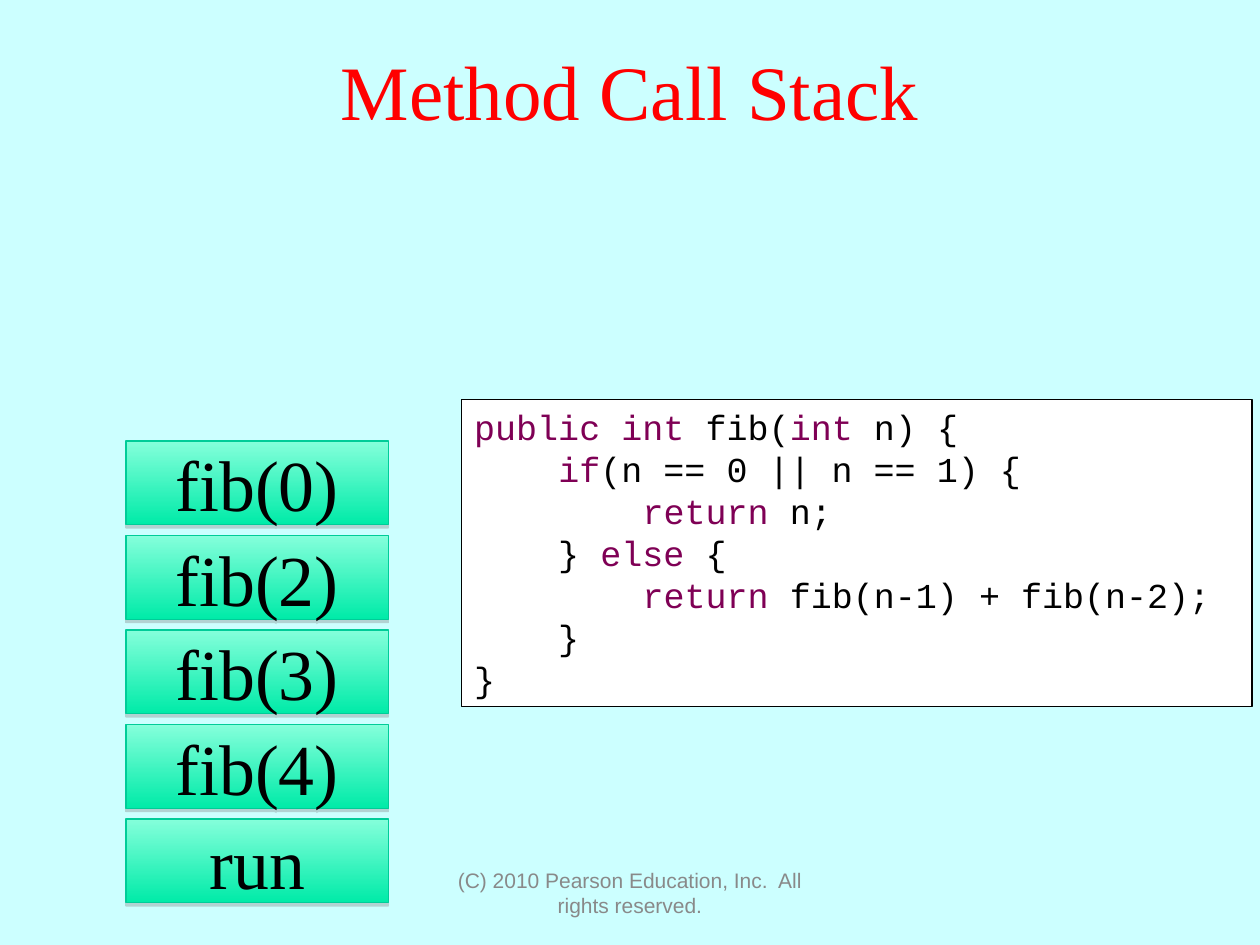
import pptx
import pptx.dml.color
import pptx.enum.shapes
import pptx.enum.text
import pptx.oxml
import pptx.oxml.ns
import pptx.util

Cm = pptx.util.Cm
Pt = pptx.util.Pt
RGBColor = pptx.dml.color.RGBColor
PP_ALIGN = pptx.enum.text.PP_ALIGN
MSO_ANCHOR = pptx.enum.text.MSO_ANCHOR

BACKGROUND = RGBColor(0xCC, 0xFF, 0xFF)
RED = RGBColor(0xFF, 0x00, 0x00)
GREY = RGBColor(0x89, 0x89, 0x89)
BLACK = RGBColor(0x00, 0x00, 0x00)
WHITE = RGBColor(0xFF, 0xFF, 0xFF)
KEYWORD = RGBColor(0x7F, 0x00, 0x55)
FRAME_TOP = RGBColor(0x85, 0xFF, 0xDB)
FRAME_BOTTOM = RGBColor(0x00, 0xEB, 0xA8)
FRAME_LINE = RGBColor(0x00, 0xCC, 0x98)

TITLE = "Method Call Stack"
FOOTER = "(C) 2010 Pearson Education, Inc.  All rights reserved."
CALLS = ["run", "fib(4)", "fib(3)", "fib(2)", "fib(0)"]  # bottom to top
# Keywords stand between backticks.
CODE = [
    "`public int` fib(`int` n) {",
    "    `if`(n == 0 || n == 1) {",
    "        `return` n;",
    "    } `else` {",
    "        `return` fib(n-1) + fib(n-2);",
    "    }",
    "}",
]

TITLE_FONT = {"name": "Times New Roman", "size": Pt(44)}
CALL_FONT = {"name": "Times New Roman", "size": Pt(41)}
CODE_FONT = {"name": "Courier New", "size": Pt(20)}
FOOTER_FONT = {"name": "Arial", "size": Pt(12)}

CALL_LEFT, CALL_BOTTOM_TOP, CALL_PITCH = 2.54, 16.51, 1.905
CALL_WIDTH, CALL_HEIGHT = 5.29, 1.69

SHADOW = (
    f'<a:outerShdw {pptx.oxml.ns.nsdecls("a")} blurRad="0" dist="22860" '
    'dir="5400000" rotWithShape="0"><a:srgbClr val="808080">'
    '<a:alpha val="35000"/></a:srgbClr></a:outerShdw>'
)


def add_run(p, text, font, color):
    r = p.add_run()
    r.text = text
    for name, value in font.items():
        setattr(r.font, name, value)
    r.font.color.rgb = color


def set_line(sp, text, font, color, anchor):
    """Fill a shape with one centred paragraph."""
    tf = sp.text_frame
    tf.word_wrap = True
    tf.vertical_anchor = anchor
    p = tf.paragraphs[0]
    p.alignment = PP_ALIGN.CENTER
    add_run(p, text, font, color)


def add_rect(s, left, top, width, height, line_color):
    sp = s.shapes.add_shape(
        pptx.enum.shapes.MSO_SHAPE.RECTANGLE, Cm(left), Cm(top), Cm(width), Cm(height)
    )
    sp.shadow.inherit = False
    sp.line.color.rgb = line_color
    sp.line.width = Pt(0.75)
    return sp


def add_call(s, level, name):
    """Add one frame of the call stack, level 0 being the lowest."""
    top = CALL_BOTTOM_TOP - level * CALL_PITCH
    sp = add_rect(s, CALL_LEFT, top, CALL_WIDTH, CALL_HEIGHT, FRAME_LINE)
    sp.fill.gradient()
    sp.fill.gradient_angle = 270
    for stop, position, color in zip(
        sp.fill.gradient_stops, (0, 1), (FRAME_TOP, FRAME_BOTTOM)
    ):
        stop.position = position
        stop.color.rgb = color
    effects = sp._element.spPr.find(pptx.oxml.ns.qn("a:effectLst"))
    effects.append(pptx.oxml.parse_xml(SHADOW))
    set_line(sp, name, CALL_FONT, BLACK, MSO_ANCHOR.MIDDLE)


def add_code(s):
    sp = add_rect(s, 9.31, 8.05, 15.93, 6.2, BLACK)
    sp.fill.solid()
    sp.fill.fore_color.rgb = WHITE
    tf = sp.text_frame
    tf.word_wrap = True
    tf.vertical_anchor = MSO_ANCHOR.TOP
    for i, line in enumerate(CODE):
        p = tf.add_paragraph() if i else tf.paragraphs[0]
        p.alignment = PP_ALIGN.LEFT
        for j, part in enumerate(line.split("`")):
            if part:
                add_run(p, part, CODE_FONT, KEYWORD if j % 2 else BLACK)


def main():
    prs = pptx.Presentation()
    prs.slide_width, prs.slide_height = Cm(25.4), Cm(19.05)
    s = prs.slides.add_slide(prs.slide_layouts[6])
    s.background.fill.solid()
    s.background.fill.fore_color.rgb = BACKGROUND

    footer = s.shapes.add_textbox(Cm(8.68), Cm(17.36), Cm(8.04), Cm(1.27))
    set_line(footer, FOOTER, FOOTER_FONT, GREY, MSO_ANCHOR.TOP)
    for level, name in enumerate(CALLS):
        add_call(s, level, name)
    title = s.shapes.add_textbox(Cm(0), Cm(0.21), Cm(25.4), Cm(3.18))
    set_line(title, TITLE, TITLE_FONT, RED, MSO_ANCHOR.MIDDLE)
    add_code(s)

    prs.save("out.pptx")


if __name__ == "__main__":
    main()
